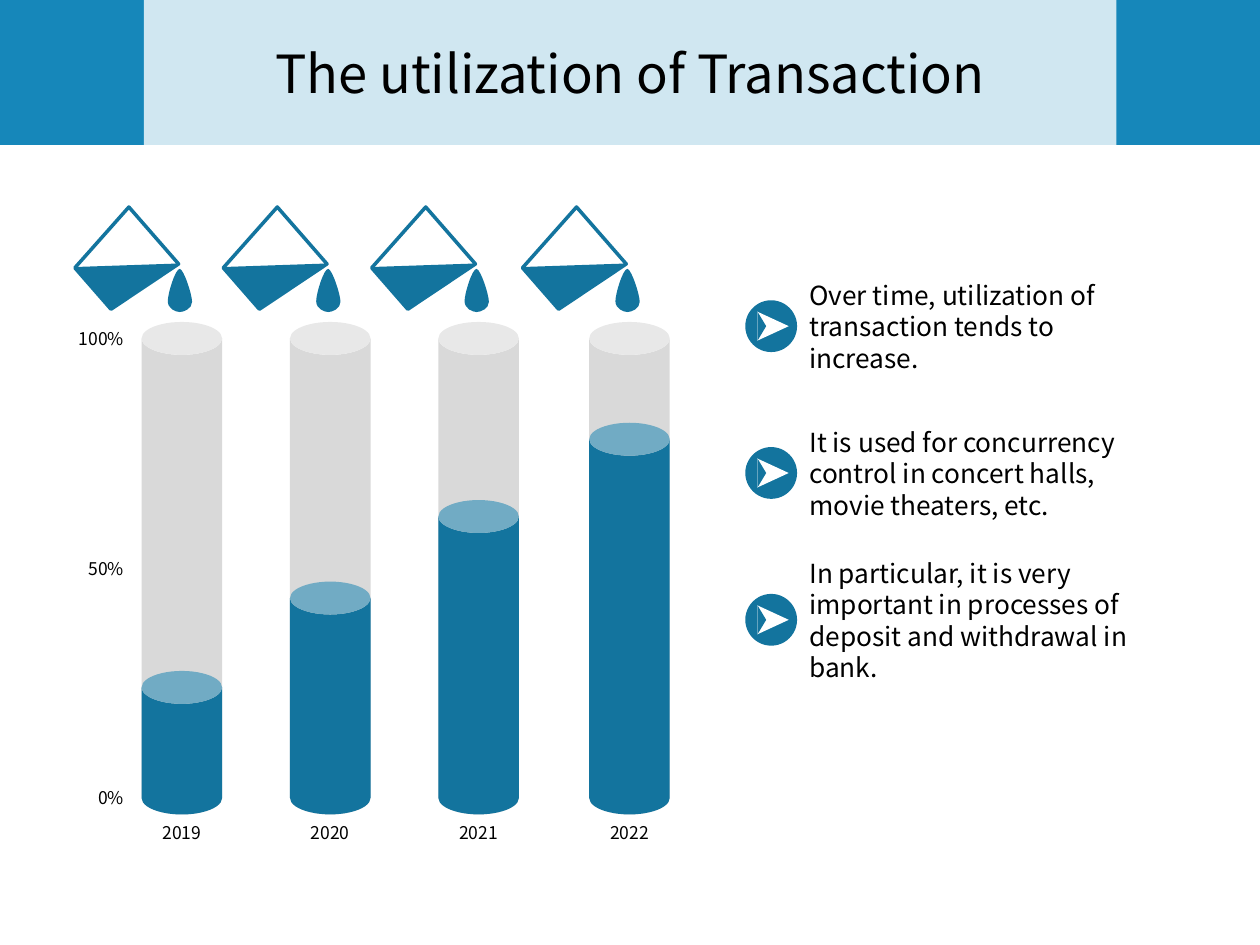
"""Build a slide on yearly transaction use with filling cylinders and three remarks."""
from dataclasses import dataclass
from typing import NamedTuple

from lxml import etree
from pptx import Presentation
from pptx.dml.color import RGBColor
from pptx.enum.shapes import MSO_SHAPE
from pptx.enum.text import MSO_ANCHOR, MSO_AUTO_SIZE, PP_ALIGN
from pptx.oxml.ns import qn
from pptx.shapes.autoshape import Shape
from pptx.text.text import TextFrame
from pptx.util import Pt

RECTANGLE, ELLIPSE, CAN = MSO_SHAPE.RECTANGLE, MSO_SHAPE.OVAL, MSO_SHAPE.CAN
TRAPEZOID, TRIANGLE = MSO_SHAPE.TRAPEZOID, MSO_SHAPE.ISOSCELES_TRIANGLE
LEFT, CENTER, RIGHT = PP_ALIGN.LEFT, PP_ALIGN.CENTER, PP_ALIGN.RIGHT
MIDDLE = MSO_ANCHOR.MIDDLE
GROW = MSO_AUTO_SIZE.SHAPE_TO_FIT_TEXT

Point = tuple[float, float]


@dataclass(frozen=True)
class Theme:
    font: str = "Noto Sans CJK KR"
    title_size: float = 30
    remark_size: float = 15
    remark_pitch: float = 18
    label_size: float = 10
    text: str = "000000"
    band: str = "1687BA"
    liquid: str = "13749E"
    glass: str = "D9D9D9"
    white: str = "FFFFFF"


class YearColumn(NamedTuple):
    year: str
    left: float
    liquid_height: float


class Tick(NamedTuple):
    label: str
    middle: float


class Remark(NamedTuple):
    text: str
    height: float


THEME = Theme()
COLUMNS = [
    YearColumn("2019", 80.9, 82),
    YearColumn("2020", 165.7, 133),
    YearColumn("2021", 250.5, 179.6),
    YearColumn("2022", 336.7, 223.8),
]
TICKS = [Tick("0%", 455.6), Tick("100%", 193.5), Tick("50%", 324.7)]
REMARKS = [
    Remark("Over time, utilization of transaction tends to increase.", 43.9),
    Remark("It is used for concurrency control in concert halls, movie theaters, etc.", 61.9),
    Remark("In particular, it is very important in processes of deposit "
           "and withdrawal in bank.", 79.9),
]
COLUMN_WIDTH, COLUMN_HEIGHT, COLUMN_BOTTOM = 46, 281.4, 465.4
LABEL_HEIGHT = 19.4
REMARK_MIDDLE, REMARK_GAP = 186.4, 83.9
POURED: list[Point] = [(-37.6, 152.6), (-17.2, 176.5), (21, 150.6)]
DROP: list[Point] = [(21.9, 153.6), (15, 172.1), (21.9, 178.3), (28.9, 172.5), (21.9, 153.6)]
DROP_HANDLES: list[tuple[Point, Point]] = [
    ((19.3, 153.6), (15, 167.8)),
    ((15, 176.4), (19.6, 178.3)),
    ((24.2, 178.3), (28.9, 176.4)),
    ((28.9, 168.4), (24.3, 154.2)),
]


def rgb(color: str) -> RGBColor:
    return RGBColor.from_string(color)


def paint(shape: Shape, color: str) -> Shape:
    shape.shadow.inherit = False
    shape.fill.solid()
    shape.fill.fore_color.rgb = rgb(color)
    shape.line.fill.background()
    return shape


def add_preset(shapes, kind: MSO_SHAPE, left: float, top: float,
               width: float, height: float, color: str) -> Shape:
    return paint(shapes.add_shape(kind, Pt(left), Pt(top), Pt(width), Pt(height)), color)


def add_outline(shapes, points: list[Point], left: float, color: str) -> Shape:
    corners = [(Pt(left + x), Pt(y)) for x, y in points]
    builder = shapes.build_freeform(*corners[0])
    builder.add_line_segments(corners[1:], close=True)
    return paint(builder.convert_to_shape(), color)


def bend(outline: Shape, points: list[Point], handles: list[tuple[Point, Point]]) -> None:
    left, top = min(x for x, _ in points), min(y for _, y in points)
    segments = list(outline.element.iter(qn("a:lnTo")))
    for segment, pair in zip(segments, handles):
        curve = etree.Element(qn("a:cubicBezTo"))
        for x, y in pair:
            handle = etree.SubElement(curve, qn("a:pt"))
            handle.set("x", str(int(Pt(x - left))))
            handle.set("y", str(int(Pt(y - top))))
        curve.append(segment[0])
        segment.getparent().replace(segment, curve)


def write(frame: TextFrame, text: str, size: float, align: PP_ALIGN) -> None:
    frame.word_wrap = True
    frame.vertical_anchor = MIDDLE
    frame.paragraphs[0].alignment = align
    run = frame.paragraphs[0].add_run()
    run.text = text
    run.font.name = THEME.font
    run.font.size = Pt(size)
    run.font.color.rgb = rgb(THEME.text)


def add_text(shapes, text: str, left: float, middle: float, width: float,
             height: float, size: float, align: PP_ALIGN) -> TextFrame:
    box = shapes.add_textbox(Pt(left), Pt(middle - height / 2), Pt(width), Pt(height))
    write(box.text_frame, text, size, align)
    box.text_frame.auto_size = GROW
    return box.text_frame


def add_header(slide) -> None:
    title = slide.shapes.title
    band = add_preset(slide.shapes, RECTANGLE, 0, 0, 720, 82.8, THEME.band)
    title.element.addprevious(band.element)
    title.left, title.top, title.width, title.height = Pt(82.2), Pt(0), Pt(555.7), Pt(82.8)
    title.fill.solid()
    title.fill.fore_color.rgb = rgb(THEME.white)
    veil = title.element.spPr.find(qn("a:solidFill"))[0]
    etree.SubElement(veil, qn("a:alpha")).set("val", "80000")
    write(title.text_frame, "The utilization of Transaction", THEME.title_size, CENTER)


def add_pitcher(shapes, left: float) -> None:
    pitcher = shapes.add_group_shape().shapes
    glass = add_preset(pitcher, TRAPEZOID, left - 32, 126.7, 43.2, 46.1, THEME.white)
    glass.adjustments[0] = 0.137
    glass.element.spPr.xfrm.set("flipV", "1")
    glass.rotation = 48.9
    glass.line.color.rgb = rgb(THEME.liquid)
    glass.line.width = Pt(2)
    add_outline(pitcher, POURED, left, THEME.liquid)
    bend(add_outline(pitcher, DROP, left, THEME.liquid), DROP, DROP_HANDLES)


def add_column(shapes, column: YearColumn) -> None:
    for height, color in ((COLUMN_HEIGHT, THEME.glass), (column.liquid_height, THEME.liquid)):
        cylinder = add_preset(shapes, CAN, column.left, COLUMN_BOTTOM - height,
                              COLUMN_WIDTH, height, color)
        cylinder.adjustments[0] = 0.409
    add_pitcher(shapes, column.left)
    add_text(shapes, column.year, column.left, 475.5, COLUMN_WIDTH, LABEL_HEIGHT,
             THEME.label_size, CENTER)


def add_remark(shapes, remark: Remark, middle: float) -> None:
    frame = add_text(shapes, remark.text, 455.4, middle, 216,
                     remark.height, THEME.remark_size, LEFT)
    frame.paragraphs[0].line_spacing = Pt(THEME.remark_pitch)
    marker = shapes.add_group_shape().shapes
    add_preset(marker, ELLIPSE, 425.9, middle - 14.8, 29.6, 29.6, THEME.liquid)
    for center, height, color in ((441.7, 18, THEME.white), (435.3, 5, THEME.liquid)):
        head = add_preset(marker, TRIANGLE, center - 8.3, middle - height / 2,
                          16.6, height, color)
        head.rotation = 90


def main() -> None:
    deck = Presentation()
    deck.slide_width, deck.slide_height = Pt(720), Pt(540)
    slide = deck.slides.add_slide(deck.slide_layouts[5])
    add_header(slide)
    for column in COLUMNS:
        add_column(slide.shapes, column)
    for tick in TICKS:
        add_text(slide.shapes, tick.label, 28.8, tick.middle, 49, LABEL_HEIGHT,
                 THEME.label_size, RIGHT)
    for index, remark in enumerate(REMARKS):
        add_remark(slide.shapes, remark, REMARK_MIDDLE + index * REMARK_GAP)
    deck.save("out.pptx")


main()
